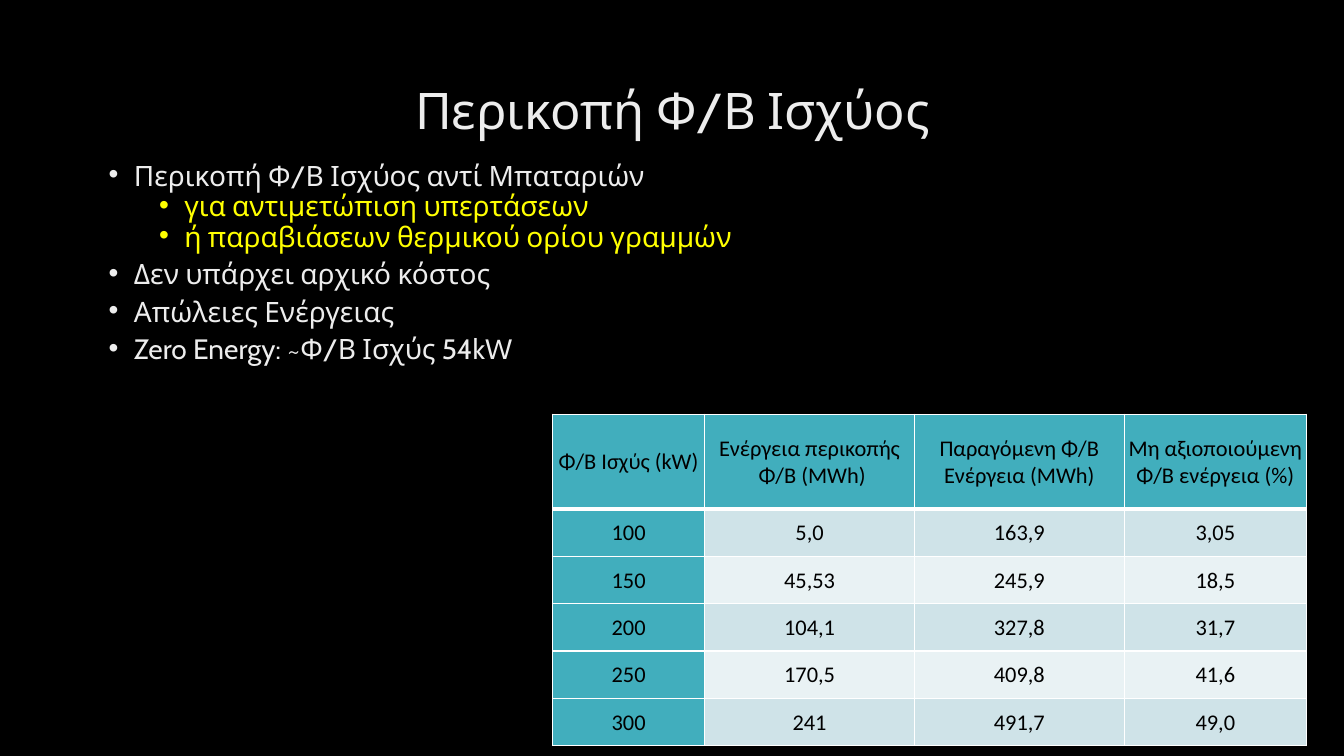
import dataclasses

import pptx
import pptx.dml.color
import pptx.enum.text
import pptx.oxml
import pptx.util

PX = 9144
NAMESPACE = 'xmlns:a="http://schemas.openxmlformats.org/drawingml/2006/main"'


@dataclasses.dataclass(frozen=True)
class Theme:
    """Colours, fonts and type sizes of the slide."""

    background: str = "000000"
    text: str = "EDEDED"
    accent: str = "FFFF00"
    header: str = "41AEBD"
    bands: tuple = ("CFE3E8", "E9F2F4")
    border: str = "FFFFFF"
    cell_text: str = "000000"
    font: str = "Cabin"
    table_font: str = "Calibri"
    title_size: int = 36
    body_size: int = 20
    table_size: int = 16


THEME = Theme()
TITLE = "Περικοπή Φ/Β Ισχύος"
BULLETS = [
    (0, "Περικοπή Φ/Β Ισχύος αντί Μπαταριών"),
    (1, "για αντιμετώπιση υπερτάσεων"),
    (1, "ή παραβιάσεων θερμικού ορίου γραμμών"),
    (0, "Δεν υπάρχει αρχικό κόστος"),
    (0, "Απώλειες Ενέργειας"),
    (0, "Zero Energy: ~Φ/Β Ισχύς 54kW"),
]
ROWS = [
    ("Φ/Β Ισχύς (kW)", "Ενέργεια περικοπής\n Φ/Β (MWh)",
     "Παραγόμενη Φ/Β Ενέργεια (MWh)", "Μη αξιοποιούμενη Φ/Β ενέργεια (%)"),
    ("100", "5,0", "163,9", "3,05"),
    ("150", "45,53", "245,9", "18,5"),
    ("200", "104,1", "327,8", "31,7"),
    ("250", "170,5", "409,8", "41,6"),
    ("300", "241", "491,7", "49,0"),
]
COLUMN_WIDTHS = (151, 208, 208, 181)
ROW_HEIGHT = 47


def color(value):
    """Return the colour object of a hex value."""
    return pptx.dml.color.RGBColor.from_string(value)


def format_runs(para, font, size, value):
    """Give every run of a paragraph its font, size and colour."""
    for span in para.runs:
        span.font.name = font
        span.font.size = pptx.util.Pt(size)
        span.font.bold = False
        span.font.color.rgb = color(value)


def place(shape, box):
    """Move a shape to a box given in px."""
    shape.left, shape.top, shape.width, shape.height = (side * PX for side in box)


def fill_title(page, box):
    """Write the centred title into its placeholder."""
    title = page.shapes.title
    place(title, box)
    frame = title.text_frame
    frame.text = TITLE
    frame.vertical_anchor = pptx.enum.text.MSO_ANCHOR.MIDDLE
    para = frame.paragraphs[0]
    para.alignment = pptx.enum.text.PP_ALIGN.CENTER
    para.line_spacing = 0.9
    format_runs(para, THEME.font, THEME.title_size, THEME.text)


def add_bullets(page, box):
    """Add the two-level bullet list."""
    frame = page.shapes.add_textbox(*(side * PX for side in box)).text_frame
    frame.word_wrap = True
    frame.text = "\n".join(text for _, text in BULLETS)
    for para, (level, _) in zip(frame.paragraphs, BULLETS):
        para.level = level
        para.line_spacing = 0.7
        para.space_before = pptx.util.Pt(5 if level else 10)
        properties = para._p.get_or_add_pPr()
        properties.set("marL", str((25 + 50 * level) * PX))
        properties.set("indent", str(-25 * PX))
        for tag in ('buFont {} typeface="Arial"', 'buChar {} char="•"'):
            properties.append(pptx.oxml.parse_xml(f"<a:{tag.format(NAMESPACE)}/>"))
        format_runs(para, THEME.font, THEME.body_size,
                    THEME.accent if level else THEME.text)


def set_borders(cell, top, bottom):
    """Draw the four cell borders, with top and bottom widths in points."""
    properties = cell._tc.get_or_add_tcPr()
    for side, width in (("L", 1), ("R", 1), ("T", top), ("B", bottom)):
        properties.append(pptx.oxml.parse_xml(
            f'<a:ln{side} {NAMESPACE} w="{pptx.util.Pt(width)}"><a:solidFill>'
            f'<a:srgbClr val="{THEME.border}"/></a:solidFill></a:ln{side}>'))


def format_cell(cell, row, column):
    """Style one table cell by its row and column."""
    set_borders(cell, 3 if row == 1 else 1, 3 if row == 0 else 1)
    heading = row == 0 or column == 0
    cell.fill.solid()
    cell.fill.fore_color.rgb = color(
        THEME.header if heading else THEME.bands[(row - 1) % 2])
    cell.margin_left = cell.margin_right = cell.margin_top = PX
    cell.margin_bottom = 0
    cell.vertical_anchor = pptx.enum.text.MSO_ANCHOR.MIDDLE
    for para in cell.text_frame.paragraphs:
        para.alignment = pptx.enum.text.PP_ALIGN.CENTER
        format_runs(para, THEME.table_font, THEME.table_size, THEME.cell_text)


def add_energy_table(page, box):
    """Add the table of curtailed and produced energy."""
    table = page.shapes.add_table(
        len(ROWS), len(COLUMN_WIDTHS), *(side * PX for side in box)).table
    table.first_row = table.horz_banding = False
    for column, width in zip(table.columns, COLUMN_WIDTHS):
        column.width = width * PX
    for row, values in enumerate(ROWS):
        table.rows[row].height = ROW_HEIGHT * PX * (1 if row else 2)
        for column, value in enumerate(values):
            cell = table.cell(row, column)
            cell.text_frame.text = value
            format_cell(cell, row, column)


def main():
    """Build the slide and save the deck."""
    deck = pptx.Presentation()
    deck.slide_width, deck.slide_height = 1333 * PX, 750 * PX
    page = deck.slides.add_slide(deck.slide_layouts[5])
    page.background.fill.solid()
    page.background.fill.fore_color.rgb = color(THEME.background)
    fill_title(page, (92, 40, 1150, 145))
    add_bullets(page, (98, 161, 733, 241))
    add_energy_table(
        page, (548, 411, sum(COLUMN_WIDTHS), ROW_HEIGHT * (len(ROWS) + 1)))
    deck.save("out.pptx")


if __name__ == "__main__":
    main()
